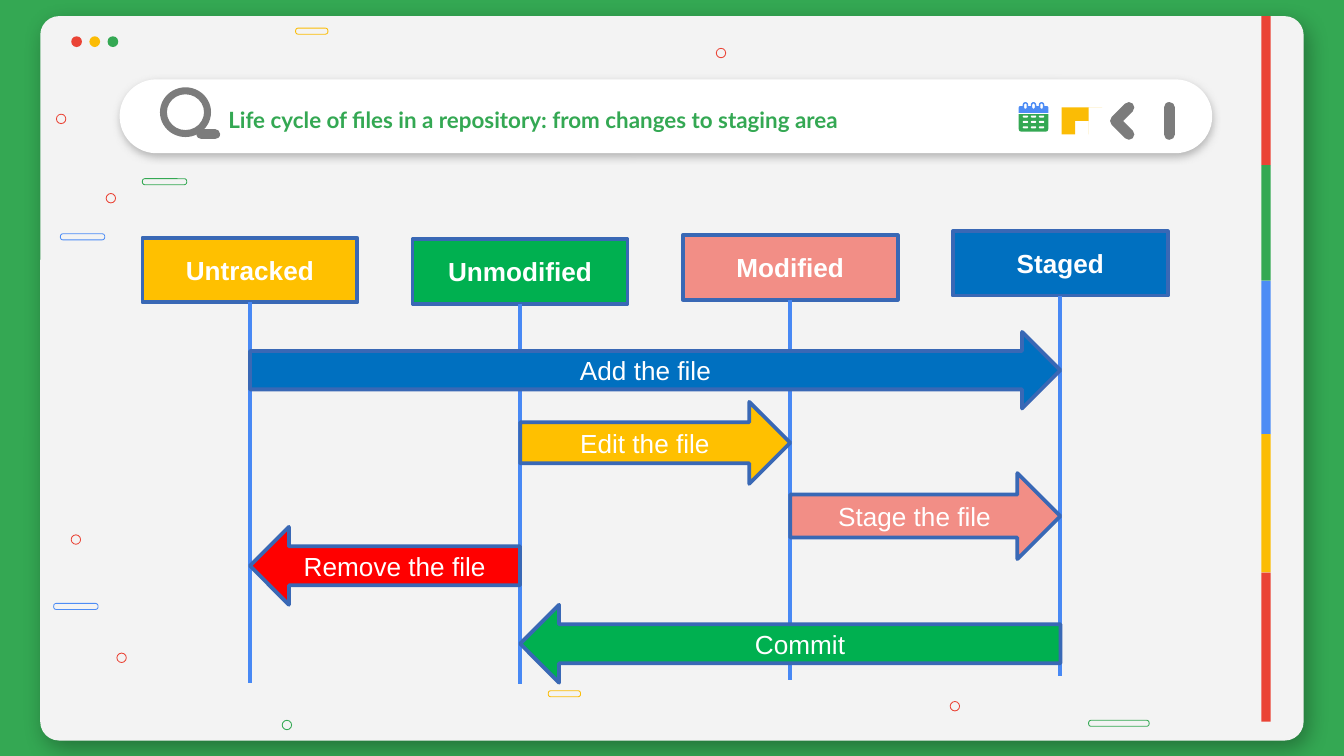
from lxml.etree import SubElement
from pptx import Presentation
from pptx.dml.color import RGBColor
from pptx.enum.shapes import MSO_CONNECTOR, MSO_SHAPE
from pptx.enum.text import MSO_ANCHOR, PP_ALIGN
from pptx.oxml.ns import qn
from pptx.util import Inches, Pt

RED = RGBColor(0xEA, 0x43, 0x35)
YELLOW = RGBColor(0xFB, 0xBC, 0x05)
GREEN = RGBColor(0x34, 0xA8, 0x53)
BLUE = RGBColor(0x4D, 0x8C, 0xF5)
GREY = RGBColor(0x7C, 0x7C, 0x7C)
BLACK = RGBColor(0, 0, 0)
WHITE = RGBColor(0xFF, 0xFF, 0xFF)
PANEL = RGBColor(0xF3, 0xF3, 0xF3)
AMBER = RGBColor(0xFF, 0xC0, 0x00)
LEAF = RGBColor(0x00, 0xB0, 0x50)
SALMON = RGBColor(0xF2, 0x8E, 0x86)
NAVY = RGBColor(0x00, 0x70, 0xC0)
ALERT = RGBColor(0xFF, 0x00, 0x00)
OUTLINE = RGBColor(0x39, 0x68, 0xB5)
LIFELINE = RGBColor(0x47, 0x88, 0xF4)

presentation = Presentation()
presentation.slide_width, presentation.slide_height = Inches(10), Inches(5.625)
slide = presentation.slides.add_slide(presentation.slide_layouts[6])
slide.background.fill.solid()
slide.background.fill.fore_color.rgb = GREEN
shapes = slide.shapes

# Grid: 100 columns across, square cells, so 56.25 rows down
CELL = presentation.slide_width / 100


def add_block(kind, left, top, width, height, fill=None, line=None, weight=0.44):
    block = shapes.add_shape(kind, *(round(n * CELL) for n in (left, top, width, height)))
    block.shadow.inherit = False
    if fill is None:
        block.fill.background()
    else:
        block.fill.solid()
        block.fill.fore_color.rgb = fill
    if line is None:
        block.line.fill.background()
    else:
        block.line.color.rgb = line
        block.line.width = Pt(weight)
    return block


def write_label(block, words, bold):
    frame = block.text_frame
    frame.text = words
    frame.word_wrap = True
    frame.vertical_anchor = MSO_ANCHOR.MIDDLE
    frame.paragraphs[0].alignment = PP_ALIGN.CENTER
    font = frame.paragraphs[0].runs[0].font
    font.name, font.size, font.bold, font.color.rgb = "Arial", Pt(14), bold, WHITE


# Browser window and search bar, with soft shadows
window = add_block(MSO_SHAPE.ROUNDED_RECTANGLE, 3, 1.2, 94, 53.9, PANEL)
window.adjustments[0] = 0.026
search_bar = add_block(MSO_SHAPE.ROUNDED_RECTANGLE, 8.9, 5.9, 81.3, 5.5, WHITE)
search_bar.adjustments[0] = 0.5
for surface, colour, alpha, blur, distance, angle in (
    (window, BLACK, 32, 12.4, 5.2, 57),
    (search_bar, GREY, 50, 4.5, 1.5, 90),
):
    effects = surface._element.spPr.find(qn("a:effectLst"))
    shadow = SubElement(effects, qn("a:outerShdw"), blurRad=str(Pt(blur)),
                        dist=str(Pt(distance)), dir=str(angle * 60000),
                        algn="bl", rotWithShape="0")
    tint = SubElement(shadow, qn("a:srgbClr"), val=str(colour))
    SubElement(tint, qn("a:alpha"), val=str(alpha * 1000))

# Window buttons
for index, colour in enumerate((RED, YELLOW, GREEN)):
    add_block(MSO_SHAPE.OVAL, 5.3 + 1.35 * index, 2.7, 0.8, 0.8, colour)

# Scattered rings and pills
for left, top, colour in (
    (5.3, 39.8, RED), (7.9, 14.4, RED), (4.2, 8.5, RED), (8.7, 48.6, RED),
    (21, 53.6, GREEN), (70.7, 52.2, RED), (53.3, 3.6, RED),
):
    add_block(MSO_SHAPE.OVAL, left, top, 0.7, 0.7, line=colour)
for left, top, width, colour in (
    (40.8, 51.4, 2.4, YELLOW), (81, 53.6, 4.5, GREEN), (4.5, 17.4, 3.3, BLUE),
    (4, 44.9, 3.3, BLUE), (10.6, 13.3, 3.3, GREEN), (22, 2.1, 2.4, YELLOW),
):
    pill = add_block(MSO_SHAPE.ROUNDED_RECTANGLE, left, top, width, 0.45, line=colour)
    pill.adjustments[0] = 0.4

# Coloured scroll bar
stops = (1.2, 12.3, 20.9, 32.3, 42.6, 53.7)
for top, bottom, colour in zip(stops, stops[1:], (RED, GREEN, BLUE, YELLOW, RED)):
    add_block(MSO_SHAPE.RECTANGLE, 93.85, top, 0.7, bottom - top, colour)

# Title
title = shapes.add_textbox(*(round(n * CELL) for n in (16, 6.3, 70.9, 5.2)))
title.text_frame.text = "Life cycle of files in a repository: from changes to staging area"
title.text_frame.word_wrap = True
title.text_frame.vertical_anchor = MSO_ANCHOR.MIDDLE
title_font = title.text_frame.paragraphs[0].runs[0].font
title_font.name, title_font.size, title_font.bold = "Lato", Pt(12), True
title_font.color.rgb = GREEN

# Magnifier lens
lens = add_block(MSO_SHAPE.DONUT, 11.9, 6.5, 3.8, 3.7, GREY)
lens.adjustments[0] = 0.14

# Magnifier handle and the back and forward chevrons: round-ended strokes
for stroke, weight in (
    (((15.1, 9.6), (15.8, 10.35)), 5.5),
    (((84, 8), (83.2, 8.8), (84, 9.6)), 5.8),
    (((86.6, 8), (87.4, 8.8), (86.6, 9.6)), 5.8),
):
    builder = shapes.build_freeform(*stroke[0], scale=CELL)
    builder.add_line_segments(stroke[1:], close=False)
    mark = builder.convert_to_shape()
    mark.shadow.inherit = False
    mark.fill.background()
    mark.line.color.rgb = GREY
    mark.line.width = Pt(weight)
    mark.line._get_or_add_ln().set("cap", "rnd")

# Calendar: header, page, rings and day slots
add_block(MSO_SHAPE.ROUND_2_SAME_RECTANGLE, 75.8, 7.9, 2.2, 0.5, BLUE)
page = add_block(MSO_SHAPE.ROUND_2_SAME_RECTANGLE, 75.8, 8.5, 2.2, 1.3, GREEN)
page.adjustments[0], page.adjustments[1] = 0, 0.15
for column in range(3):
    left = 76.1 + 0.6 * column
    ring = add_block(MSO_SHAPE.ROUNDED_RECTANGLE, left + 0.05, 7.65, 0.3, 0.5, WHITE, BLUE, 0.8)
    ring.adjustments[0] = 0.5
    for row in range(3):
        slot = add_block(MSO_SHAPE.ROUNDED_RECTANGLE, left, 8.6 + 0.4 * row, 0.4, 0.15, WHITE)
        slot.adjustments[0] = 0.5

# House
builder = shapes.build_freeform(80.4, 7.6, scale=CELL)
builder.add_line_segments((
    (81.6, 8.3), (81.4, 8.3), (81.4, 9.8), (80.8, 9.8), (80.8, 8.8),
    (80, 8.8), (80, 9.8), (79.4, 9.8), (79.4, 8.3), (79.2, 8.3),
))
house = builder.convert_to_shape()
house.shadow.inherit = False
house.fill.solid()
house.fill.fore_color.rgb = YELLOW
house.line.fill.background()

# States, each heading its lifeline
lanes = [18.6 + 20.1 * index for index in range(4)]
for lane, (state, top, colour) in zip(lanes, (
    ("Untracked", 17.7, AMBER), ("Unmodified", 17.8, LEAF),
    ("Modified", 17.5, SALMON), ("Staged", 17.2, NAVY),
)):
    head = add_block(MSO_SHAPE.RECTANGLE, lane - 8, top, 16, 4.8, colour, OUTLINE, 2)
    write_label(head, state, True)
    lifeline = shapes.add_connector(MSO_CONNECTOR.STRAIGHT, *(
        round(n * CELL) for n in (lane, top + 4.8, lane, top + 33.1)))
    lifeline.line.color.rgb = LIFELINE
    lifeline.line.width = Pt(2.25)
    SubElement(lifeline._element.spPr, qn("a:effectLst"))

# Actions, running from one lane to another
for action, start, end, top, height, colour in (
    ("Add the file", 0, 3, 24.7, 5.7, NAVY),
    ("Edit the file", 1, 2, 29.9, 6.1, AMBER),
    ("Stage the file", 2, 3, 35.2, 6.4, SALMON),
    ("Remove the file", 1, 0, 39.2, 5.8, ALERT),
    ("Commit", 3, 1, 45, 5.8, LEAF),
):
    direction = MSO_SHAPE.RIGHT_ARROW if end > start else MSO_SHAPE.LEFT_ARROW
    arrow = add_block(direction, min(lanes[start], lanes[end]), top,
                      abs(lanes[end] - lanes[start]), height, colour, OUTLINE, 2)
    write_label(arrow, action, False)

presentation.save("out.pptx")
